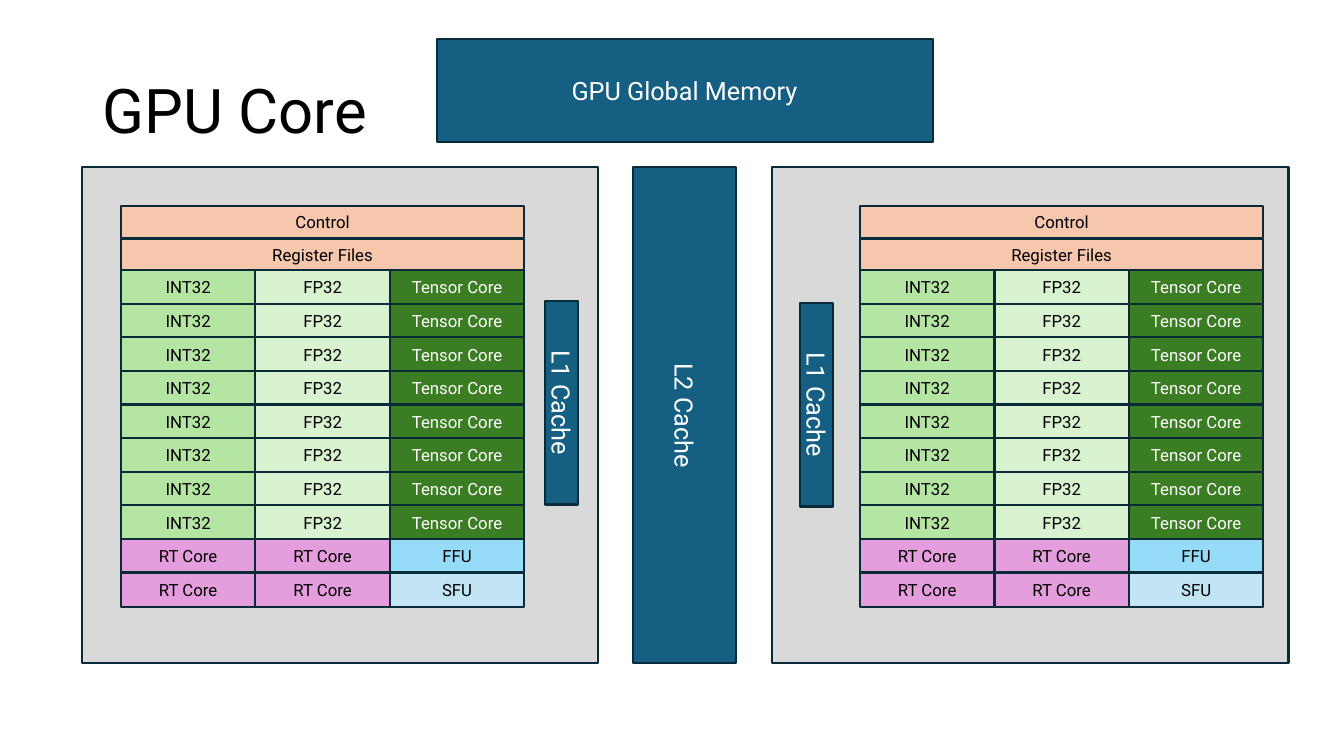
from dataclasses import dataclass

from pptx import Presentation
from pptx.dml.color import RGBColor
from pptx.enum.text import MSO_ANCHOR, PP_ALIGN
from pptx.shapes.group import GroupShape
from pptx.shapes.shapetree import SlideShapes
from pptx.slide import Slide
from pptx.enum.shapes import MSO_SHAPE
from pptx.text.text import Font
from pptx.util import Inches, Pt


@dataclass(frozen=True)
class Theme:
    font: str = "Roboto"
    title_size: int = 44
    memory_size: int = 18
    unit_size: int = 12
    outline_width: float = 1.5
    outline: str = "092A39"
    dark_text: str = "000000"
    light_text: str = "FFFFFF"
    core: str = "D9D9D9"
    memory: str = "156082"
    control: str = "F6C6AD"
    int32: str = "B4E5A2"
    fp32: str = "D9F2D0"
    tensor: str = "3B7D23"
    ray_tracing: str = "E59EDD"
    ffu: str = "96DCF8"
    sfu: str = "C1E5F5"


THEME = Theme()


@dataclass(frozen=True)
class Box:
    left: float
    top: float
    width: float
    height: float


@dataclass(frozen=True)
class Block:
    label: str
    fill: str
    text_color: str = THEME.dark_text
    size: int = THEME.unit_size
    rotation: int = 0


@dataclass(frozen=True)
class Core:
    left: float
    units_left: float
    l1_cache: Box


CORE_TOP, CORE_WIDTH, CORE_HEIGHT = 1.66, 5.12, 4.92
CONTROL_TOP, CONTROL_PITCH, CONTROL_HEIGHT = 2.04, 0.33, 0.32
UNITS_TOP, UNITS_WIDTH, UNITS_HEIGHT = 2.68, 4.0, 3.0
UNIT_HEIGHT = 0.34

CONTROL_ROWS = [
    Block("Control", THEME.control),
    Block("Register Files", THEME.control),
]
COMPUTE_ROW = [
    Block("INT32", THEME.int32),
    Block("FP32", THEME.fp32),
    Block("Tensor Core", THEME.tensor, THEME.light_text),
]
RT_CORE = Block("RT Core", THEME.ray_tracing)
UNIT_ROWS = [COMPUTE_ROW] * 8 + [
    [RT_CORE, RT_CORE, Block("FFU", THEME.ffu)],
    [RT_CORE, RT_CORE, Block("SFU", THEME.sfu)],
]
ROW_PITCH = UNITS_HEIGHT / (len(UNIT_ROWS) - 1)
UNIT_WIDTH = UNITS_WIDTH / len(COMPUTE_ROW)

CORES = [
    Core(0.81, 1.2, Box(4.56, 3.83, 2.02, 0.33)),
    Core(7.66, 8.53, Box(7.09, 3.85, 2.02, 0.33)),
]


def memory_block(label: str, rotation: int = 0) -> Block:
    return Block(label, THEME.memory, THEME.light_text, THEME.memory_size, rotation)


def format_font(font: Font, size: int, color: str) -> None:
    for attribute, value in {"name": THEME.font, "size": Pt(size)}.items():
        setattr(font, attribute, value)
    font.color.rgb = RGBColor.from_string(color)


def draw_block(shapes: SlideShapes, box: Box, block: Block) -> None:
    rectangle = shapes.add_shape(
        MSO_SHAPE.RECTANGLE,
        Inches(box.left), Inches(box.top), Inches(box.width), Inches(box.height),
    )
    rectangle.rotation = block.rotation
    rectangle.shadow.inherit = False
    rectangle.fill.solid()
    rectangle.fill.fore_color.rgb = RGBColor.from_string(block.fill)
    rectangle.line.color.rgb = RGBColor.from_string(THEME.outline)
    rectangle.line.width = Pt(THEME.outline_width)
    if block.label:
        rectangle.text_frame.vertical_anchor = MSO_ANCHOR.MIDDLE
        paragraph = rectangle.text_frame.paragraphs[0]
        paragraph.alignment = PP_ALIGN.CENTER
        run = paragraph.add_run()
        run.text = block.label
        format_font(run.font, block.size, block.text_color)


def draw_core(slide: Slide, core: Core) -> None:
    group: GroupShape = slide.shapes.add_group_shape()
    core_box = Box(core.left, CORE_TOP, CORE_WIDTH, CORE_HEIGHT)
    draw_block(group.shapes, core_box, Block("", THEME.core))
    for row, control in enumerate(CONTROL_ROWS):
        top = CONTROL_TOP + row * CONTROL_PITCH
        draw_block(group.shapes, Box(core.units_left, top, UNITS_WIDTH, CONTROL_HEIGHT), control)
    for row, units in enumerate(UNIT_ROWS):
        for column, unit in enumerate(units):
            left = core.units_left + column * UNIT_WIDTH
            top = UNITS_TOP + row * ROW_PITCH
            draw_block(group.shapes, Box(left, top, UNIT_WIDTH, UNIT_HEIGHT), unit)
    draw_block(group.shapes, core.l1_cache, memory_block("L1 Cache", 90))


def draw_title(slide: Slide, text: str) -> None:
    title = slide.shapes.add_textbox(Inches(0.92), Inches(0.4), Inches(11.5), Inches(1.45))
    frame = title.text_frame
    for attribute, value in {"word_wrap": True, "vertical_anchor": MSO_ANCHOR.MIDDLE}.items():
        setattr(frame, attribute, value)
    paragraph = frame.paragraphs[0]
    paragraph.line_spacing = 0.9
    run = paragraph.add_run()
    run.text = text
    format_font(run.font, THEME.title_size, THEME.dark_text)


def main() -> None:
    presentation = Presentation()
    presentation.slide_width = Inches(13.33)
    presentation.slide_height = Inches(7.5)
    slide = presentation.slides.add_slide(presentation.slide_layouts[6])
    draw_title(slide, "GPU Core")
    for core in CORES:
        draw_core(slide, core)
    draw_block(slide.shapes, Box(4.33, 3.61, 4.92, 1.02), memory_block("L2 Cache", 90))
    draw_block(slide.shapes, Box(4.33, 0.39, 4.92, 1.02), memory_block("GPU Global Memory"))
    presentation.save("out.pptx")


if __name__ == "__main__":
    main()
